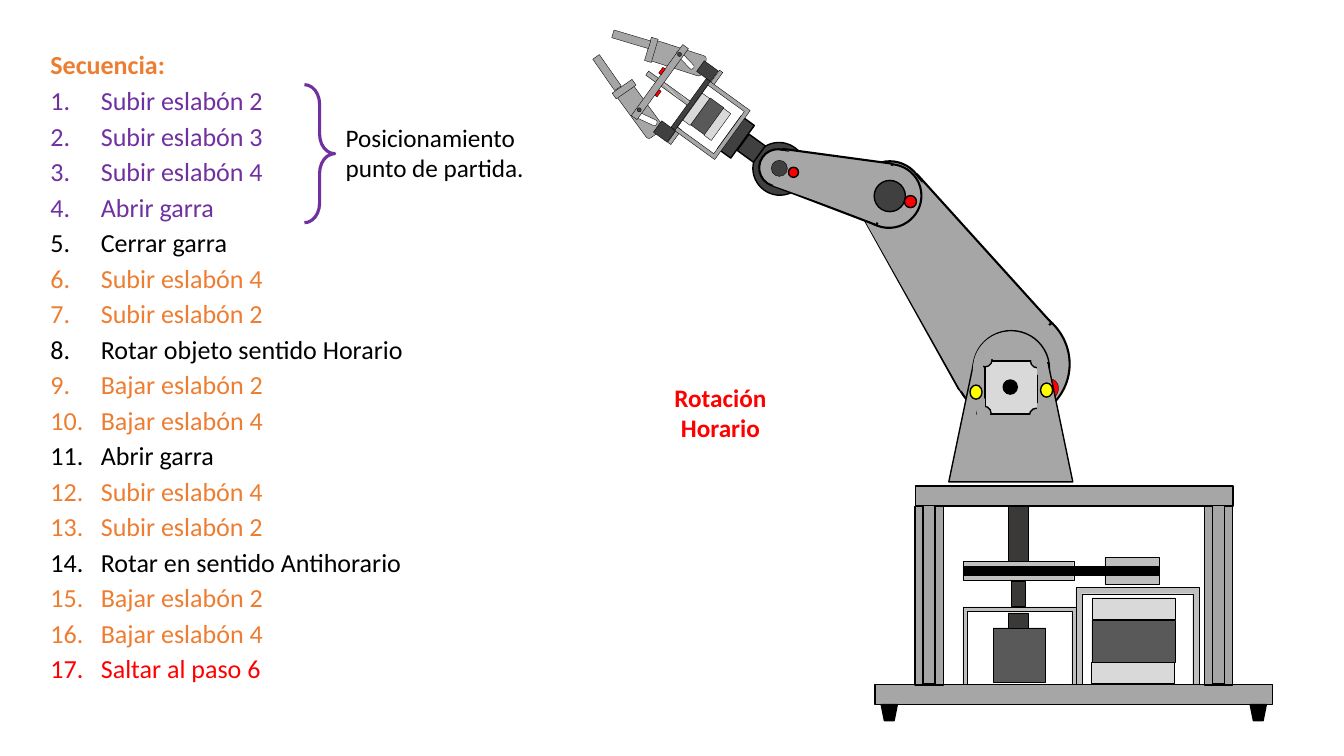
from dataclasses import dataclass
from typing import Optional

from lxml import etree
from pptx import Presentation
from pptx.dml.color import RGBColor
from pptx.enum.dml import MSO_PATTERN
from pptx.enum.shapes import MSO_SHAPE
from pptx.enum.text import MSO_ANCHOR, MSO_AUTO_SIZE, PP_ALIGN
from pptx.oxml.ns import qn
from pptx.util import Inches, Pt

RECT = MSO_SHAPE.RECTANGLE
ROUND = MSO_SHAPE.ROUNDED_RECTANGLE
OVAL = MSO_SHAPE.OVAL
FRAME = MSO_SHAPE.FRAME
TAPER = MSO_SHAPE.FLOWCHART_MANUAL_OPERATION
BRACE = MSO_SHAPE.RIGHT_BRACE
HATCH = MSO_PATTERN.WIDE_DOWNWARD_DIAGONAL
LEFT, CENTER = PP_ALIGN.LEFT, PP_ALIGN.CENTER

FONT = "Calibri"
BLACK, WHITE, RED, YELLOW = "000000", "FFFFFF", "FF0000", "FFFF00"
ORANGE, PURPLE = "ED7D31", "7030A0"
METAL, DARK, MOTOR, SHAFT = "A6A6A6", "404040", "595959", "3B3838"
BRACKET, PALE = "BFBFBF", "D9D9D9"
WRIST = 125.9  # turn of the gripper, in degrees


@dataclass
class Part:
    kind: int
    at: tuple[float, float, float, float]
    fill: Optional[str] = METAL
    turn: float = 0
    line: Optional[str] = BLACK
    weight: float = 0.25
    adjust: tuple[float, ...] = ()
    hatched: bool = False


def color(value: str) -> RGBColor:
    return RGBColor.from_string(value)


def draw(container, parts: list[Part]) -> None:
    for part in parts:
        shape = container.add_shape(part.kind, *map(Inches, part.at))
        shape.shadow.inherit = False
        shape.rotation = part.turn
        for index, value in enumerate(part.adjust):
            shape.adjustments[index] = value
        if part.fill is None:
            shape.fill.background()
        elif part.hatched:
            shape.fill.patterned()
            shape.fill.pattern = HATCH
            shape.fill.fore_color.rgb = color(WHITE)
            shape.fill.back_color.rgb = color(part.fill)
        else:
            shape.fill.solid()
            shape.fill.fore_color.rgb = color(part.fill)
        if part.line is None:
            shape.line.fill.background()
        else:
            shape.line.color.rgb = color(part.line)
            shape.line.width = Pt(part.weight)


def add_span(para, text: str, value: str, size: float = 18, bold: bool = False) -> None:
    span = para.add_run()
    span.text = text
    span.font.name, span.font.size, span.font.bold = FONT, Pt(size), bold
    span.font.color.rgb = color(value)


def add_label(page, at: tuple, text: str, value: str, align: int, bold: bool = False) -> None:
    box = page.shapes.add_textbox(*map(Inches, at))
    box.text_frame.word_wrap = True
    para = box.text_frame.paragraphs[0]
    para.alignment = align
    add_span(para, text, value, bold=bold)


def number(para) -> None:
    properties = para._p.get_or_add_pPr()
    properties.set("marL", str(Inches(0.5)))
    properties.set("indent", str(-Inches(0.5)))
    etree.SubElement(properties, qn("a:buFont"), typeface="+mj-lt")
    etree.SubElement(properties, qn("a:buAutoNum"), type="arabicPeriod")


def bar(at: tuple, fill: str = METAL, turn: float = WRIST) -> Part:
    return Part(RECT, at, fill, turn)


def link(kind: int, at: tuple, turn: float, line: str = BLACK) -> Part:
    return Part(kind, at, METAL, turn, line, 1.5)


def cover(at: tuple, turn: float = 0) -> Part:
    return Part(RECT, at, METAL, turn, METAL, 1)


GRIPPER = [
    # fingers
    Part(ROUND, (6.25, 0.84, 0.2, 0.54), turn=143.8),
    Part(ROUND, (6.37, 1.05, 0.06, 0.25), WHITE, 114.9, adjust=(0.405,)),
    bar((6.07, 0.85, 0.24, 0.07), turn=145.1), bar((5.98, 0.53, 0.08, 0.38), turn=145.1),
    Part(ROUND, (6.62, 0.31, 0.21, 0.54), turn=107.9),
    Part(ROUND, (6.77, 0.48, 0.05, 0.23), WHITE, 136.2, adjust=(0.405,)),
    bar((6.34, 0.46, 0.24, 0.07), turn=106.6), bar((6.22, 0.2, 0.08, 0.38), turn=106.6),
    # wrist
    Part(OVAL, (7.47, 1.41, 0.52, 0.53), DARK, WRIST, weight=1),
    Part(RECT, (7.35, 1.37, 0.2, 0.2), DARK, WRIST, weight=1),
    Part(RECT, (7.1, 1.28, 0.4, 0.16), DARK, WRIST, weight=1),
    # palm and its motor
    bar((7.01, 0.76, 0.18, 0.04)), bar((6.6, 1.33, 0.18, 0.04)),
    Part(FRAME, (6.75, 0.92, 0.6, 0.53), turn=WRIST, adjust=(0.079,)),
    bar((6.55, 1.01, 0.6, 0.05), DARK), bar((6.95, 0.62, 0.13, 0.17), DARK),
    bar((6.52, 1.22, 0.14, 0.17), DARK), bar((6.85, 1.07, 0.33, 0.17), MOTOR),
    bar((6.95, 1.19, 0.33, 0.09), PALE), bar((6.74, 1.04, 0.33, 0.09), PALE),
    # screw and crossbar
    Part(RECT, (6.6, 0.62, 0.05, 0.51), turn=WRIST, hatched=True),
    bar((6.49, 0.91, 0.07, 0.03), RED), bar((6.51, 0.38, 0.07, 0.87), turn=35.9),
    Part(OVAL, (6.72, 0.52, 0.04, 0.04), DARK), Part(OVAL, (6.32, 1.07, 0.04, 0.04), DARK),
    bar((6.53, 0.69, 0.07, 0.03), RED),
]

LINKS = [
    link(OVAL, (9.45, 3.04, 1.16, 1.13), 15),
    link(TAPER, (8.83, 1.74, 1.13, 1.98), 144.4),
    link(OVAL, (8.49, 1.6, 0.67, 0.67), 15),
    link(TAPER, (8.86, 1.76, 1.07, 1.98), 144.4, METAL),
    link(OVAL, (8.5, 1.63, 0.64, 0.63), 334.8),
    link(TAPER, (7.93, 1.25, 0.63, 1.09), 104.3),
    link(OVAL, (7.53, 1.48, 0.37, 0.37), 334.8),
    link(TAPER, (7.97, 1.25, 0.56, 1.1), 103.6, METAL),
    Part(OVAL, (8.67, 1.79, 0.31, 0.31), DARK, weight=1),
    Part(OVAL, (7.65, 1.59, 0.16, 0.16), DARK),
    Part(OVAL, (8.97, 1.94, 0.12, 0.12), RED, weight=1),
    Part(OVAL, (7.82, 1.66, 0.1, 0.1), RED, weight=1),
]

ELBOW_MARK = [Part(OVAL, (10.27, 3.77, 0.24, 0.2), RED, 309.9)]

SHOULDER = [
    Part(ROUND, (9.65, 3.28, 0.76, 0.82), weight=1, adjust=(0.5,)),
    Part(TAPER, (9.41, 3.6, 1.23, 1.18), turn=180, weight=1),
    Part(ROUND, (9.65, 3.29, 0.74, 0.79), line=None, adjust=(0.5,)),
    Part(RECT, (9.77, 3.58, 0.52, 0.53), PALE, weight=1),
    Part(OVAL, (9.95, 3.77, 0.14, 0.14), BLACK, weight=1),
    # rounded notches at the plate corners
    *[Part(OVAL, (left, top, 0.14, 0.14), weight=1)
      for left, top in [(10.22, 3.51), (10.21, 4.05), (9.69, 4.03), (9.7, 3.5)]],
    cover((10.18, 3.51, 0.17, 0.06)), cover((10.24, 3.59, 0.18, 0.07), 90),
    cover((10.23, 4.07, 0.2, 0.07), 90), cover((10.14, 4.12, 0.15, 0.07)),
    cover((9.69, 4.12, 0.18, 0.05)), cover((9.65, 4.01, 0.16, 0.06), 90),
    cover((9.63, 3.56, 0.18, 0.05), 90), cover((9.76, 3.5, 0.15, 0.06)),
]

BASE = [
    Part(FRAME, (9.55, 6.02, 1.13, 0.86), BRACKET, adjust=(0.055,)),
    Part(FRAME, (10.67, 5.83, 1.22, 1.1), BRACKET, adjust=(0.055,)),
    Part(RECT, (9.08, 4.82, 3.15, 0.2), weight=1),
    Part(RECT, (8.68, 6.79, 3.94, 0.2), weight=1),
    # columns and feet
    *[Part(RECT, (left, top, 1.77, height), turn=90, weight=1)
      for left in (8.33, 11.2) for top, height in [(5.77, 0.28), (5.84, 0.12)]],
    *[Part(TAPER, (left, 6.99, 0.16, 0.16), BLACK, weight=1) for left in (8.74, 12.4)],
    # motors, pulleys, belt and shaft
    bar((10.83, 6.15, 0.83, 0.42), MOTOR, 0), bar((10.83, 5.93, 0.83, 0.21), PALE, 0),
    bar((10.82, 6.57, 0.83, 0.21), PALE, 0), bar((9.85, 6.23, 0.52, 0.54), MOTOR, 0),
    bar((9.55, 5.57, 1.1, 0.19), BRACKET, 0), bar((10.96, 5.53, 0.54, 0.27), BRACKET, 0),
    Part(RECT, (9.56, 5.62, 1.93, 0.09), BLACK, weight=1),
    bar((10, 5.02, 0.2, 0.55), SHAFT, 0), bar((10, 6.08, 0.2, 0.15), SHAFT, 0),
    bar((10.03, 5.77, 0.14, 0.24), SHAFT, 0),
]

SENSORS = [Part(OVAL, (left, top, 0.14, 0.12), YELLOW, 90, weight=1)
           for left, top in [(9.61, 3.83), (10.31, 3.81)]]

STEPS = [
    ("Subir eslabón 2", PURPLE), ("Subir eslabón 3", PURPLE), ("Subir eslabón 4", PURPLE),
    ("Abrir garra", PURPLE), ("Cerrar garra", BLACK), ("Subir eslabón 4", ORANGE),
    ("Subir eslabón 2", ORANGE), ("Rotar objeto sentido Horario", BLACK),
    ("Bajar eslabón 2", ORANGE), ("Bajar eslabón 4", ORANGE), ("Abrir garra", BLACK),
    ("Subir eslabón 4", ORANGE), ("Subir eslabón 2", ORANGE),
    ("Rotar en sentido Antihorario", BLACK), ("Bajar eslabón 2", ORANGE),
    ("Bajar eslabón 4", ORANGE), ("Saltar al paso 6", RED),
]


def add_sequence(box) -> None:
    box.left, box.top, box.width, box.height = map(Inches, (0.4, 0.52, 3.89, 6.89))
    frame = box.text_frame
    frame.auto_size, frame.vertical_anchor = MSO_AUTO_SIZE.NONE, MSO_ANCHOR.TOP
    para = frame.paragraphs[0]
    para.alignment, para.line_spacing, para.space_before = LEFT, 0.7, Pt(0)
    add_span(para, "Secuencia:", ORANGE, 18.6, True)
    for text, value in STEPS:
        para = frame.add_paragraph()
        number(para)
        para.alignment, para.line_spacing, para.space_before = LEFT, 0.7, Pt(9.75)
        add_span(para, text, value, 18.6)


def main() -> None:
    deck = Presentation()
    deck.slide_width, deck.slide_height = Inches(13.33), Inches(7.5)
    page = deck.slides.add_slide(deck.slide_layouts[0])
    title = page.shapes.title
    title.element.getparent().remove(title.element)

    # robot arm
    draw(page.shapes.add_group_shape().shapes, GRIPPER + LINKS)
    draw(page.shapes, ELBOW_MARK)
    for parts in (SHOULDER, BASE):
        draw(page.shapes.add_group_shape().shapes, parts)
    draw(page.shapes, SENSORS)

    # sequence and labels
    add_sequence(page.placeholders[1])
    add_label(page, (6.19, 3.74, 1.91, 0.71), "Rotación Horario", RED, CENTER, True)
    draw(page.shapes, [Part(BRACE, (3.02, 0.84, 0.3, 1.37), None, 0, PURPLE, 2.25, (0.646, 0.5))])
    add_label(page, (3.33, 1.16, 2.1, 0.71), "Posicionamiento punto de partida.", BLACK, LEFT)
    deck.save("out.pptx")


if __name__ == "__main__":
    main()
